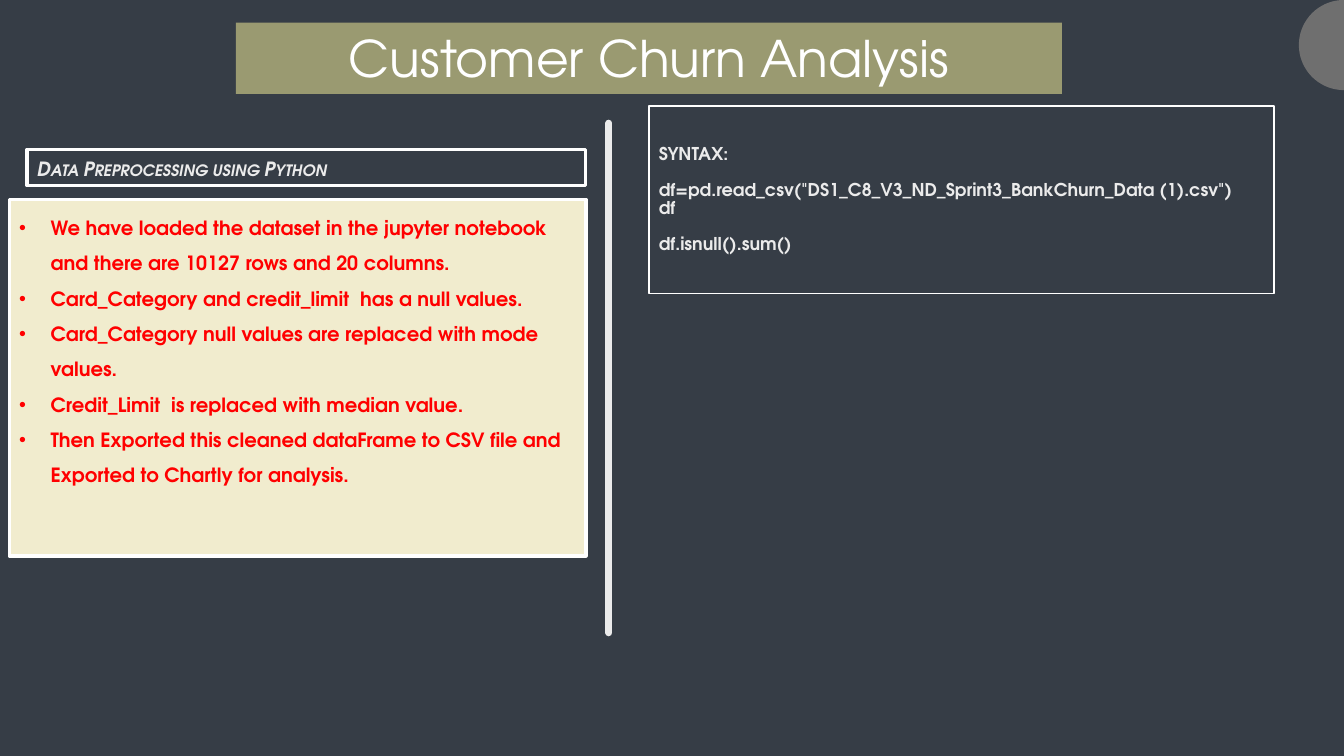
import math

from lxml import etree
from pptx import Presentation
from pptx import util as u
from pptx.dml.color import RGBColor
from pptx.enum import shapes, text
from pptx.oxml import ns

COLORS = {
    "background": "363D46", "disc": "6F6F6F", "light": "EBEBEB", "white": "FFFFFF",
    "banner": "9A9A71", "cream": "F1ECCE", "red": "FF0000",
}


class SlideBuilder:
    """Holds the style and the page; all lengths are in points."""

    font = "TeX Gyre Adventor"

    def __init__(self, page):
        self.page = page

    def color(self, name):
        return RGBColor.from_string(COLORS[name])

    def background(self, name):
        fill = self.page.background.fill
        fill.solid()
        fill.fore_color.rgb = self.color(name)

    def paint(self, shape, fill=None, line=None, weight=1):
        shape.shadow.inherit = False
        if fill:
            shape.fill.solid()
            shape.fill.fore_color.rgb = self.color(fill)
        else:
            shape.fill.background()
        if line:
            shape.line.color.rgb = self.color(line)
            shape.line.width = u.Pt(weight)
        else:
            shape.line.fill.background()

    def half_disc(self, center_x, center_y, radius, fill, steps=36):
        angles = [math.pi * (0.5 + step / steps) for step in range(steps + 1)]
        points = [(center_x + radius * math.cos(angle), center_y - radius * math.sin(angle))
                  for angle in angles]
        outline = self.page.shapes.build_freeform(
            *[u.Pt(value) for value in points[0]], scale=1.0)
        outline.add_line_segments([(u.Pt(x), u.Pt(y)) for x, y in points[1:]], close=True)
        self.paint(outline.convert_to_shape(), fill)

    def divider(self, x, top, bottom, color, weight):
        line = self.page.shapes.add_connector(
            shapes.MSO_CONNECTOR.STRAIGHT, u.Pt(x), u.Pt(top), u.Pt(x), u.Pt(bottom))
        line.line.color.rgb = self.color(color)
        line.line.width = u.Pt(weight)
        properties = line._element.spPr
        properties.find(ns.qn("a:ln")).set("cap", "rnd")
        etree.SubElement(properties, ns.qn("a:effectLst"))

    def box(self, left, top, width, height, anchor=text.MSO_ANCHOR.TOP, **look):
        box = self.page.shapes.add_shape(
            shapes.MSO_SHAPE.RECTANGLE, u.Pt(left), u.Pt(top), u.Pt(width), u.Pt(height))
        self.paint(box, **look)
        box.text_frame.word_wrap = True
        box.text_frame.vertical_anchor = anchor
        return box

    def add_text(self, box, lines, size, color, bold=False, italic=False, small_caps=False,
                 align=text.PP_ALIGN.LEFT, spacing=1.0, gaps=None, bullet_indent=0):
        frame = box.text_frame
        for index, line in enumerate(lines):
            para = frame.add_paragraph() if index else frame.paragraphs[0]
            para.alignment = align
            para.line_spacing = spacing
            para.space_after = u.Pt(gaps[index] if gaps else 0)
            if bullet_indent:
                self.bullet(para, bullet_indent)
            span = para.add_run()
            span.text = line
            span.font.name = self.font
            span.font.size = u.Pt(size)
            span.font.bold = bold
            span.font.italic = italic
            span.font.color.rgb = self.color(color)
            if small_caps:
                span._r.get_or_add_rPr().set("cap", "small")

    def bullet(self, para, indent):
        properties = para._p.get_or_add_pPr()
        properties.set("marL", str(u.Pt(indent)))
        properties.set("indent", str(-u.Pt(indent)))
        etree.SubElement(properties, ns.qn("a:buFont"), typeface="Arial")
        etree.SubElement(properties, ns.qn("a:buChar"), char="•")


def main():
    deck = Presentation()
    deck.slide_width, deck.slide_height = u.Pt(960), u.Pt(540)
    builder = SlideBuilder(deck.slides.add_slide(deck.slide_layouts[6]))

    # Backdrop
    builder.background("background")
    builder.half_disc(960, 32.2, 32.2, "disc")
    builder.divider(435, 88, 452, "light", 5)

    # Code panel
    syntax = builder.box(463.5, 75.7, 446.5, 134, text.MSO_ANCHOR.MIDDLE, line="white")
    code_lines = [
        "SYNTAX:",
        'df=pd.read_csv("DS1_C8_V3_ND_Sprint3_BankChurn_Data (1).csv")',
        "df",
        "df.isnull().sum()",
    ]
    builder.add_text(syntax, code_lines, 12.6, "light", bold=True, spacing=0.85,
                     gaps=[12.85, 0, 12.85, 0])

    # Section heading
    heading = builder.box(19.3, 106.7, 399.2, 26, text.MSO_ANCHOR.BOTTOM,
                          line="white", weight=2.25)
    builder.add_text(heading, ["Data Preprocessing using Python"], 14, "light",
                     bold=True, italic=True, small_caps=True)

    # Title banner
    banner = builder.box(168.5, 16.1, 590, 51, fill="banner")
    builder.add_text(banner, ["Customer Churn Analysis"], 36, "white",
                     align=text.PP_ALIGN.CENTER)

    # Preprocessing steps
    steps = builder.box(6.6, 142.4, 412, 254.8, fill="cream", line="white", weight=2.25)
    step_lines = [
        "We have loaded the dataset in the jupyter notebook and there are 10127 rows "
        "and 20 columns.",
        "Card_Category and credit_limit  has a null values.",
        "Card_Category null values are replaced with mode values.",
        "Credit_Limit  is replaced with median value.",
        "Then Exported this cleaned dataFrame to CSV file and Exported to Chartly for analysis.",
    ]
    builder.add_text(steps, step_lines, 14, "red", bold=True, spacing=1.5, bullet_indent=22.5)

    deck.save("out.pptx")


if __name__ == "__main__":
    main()
